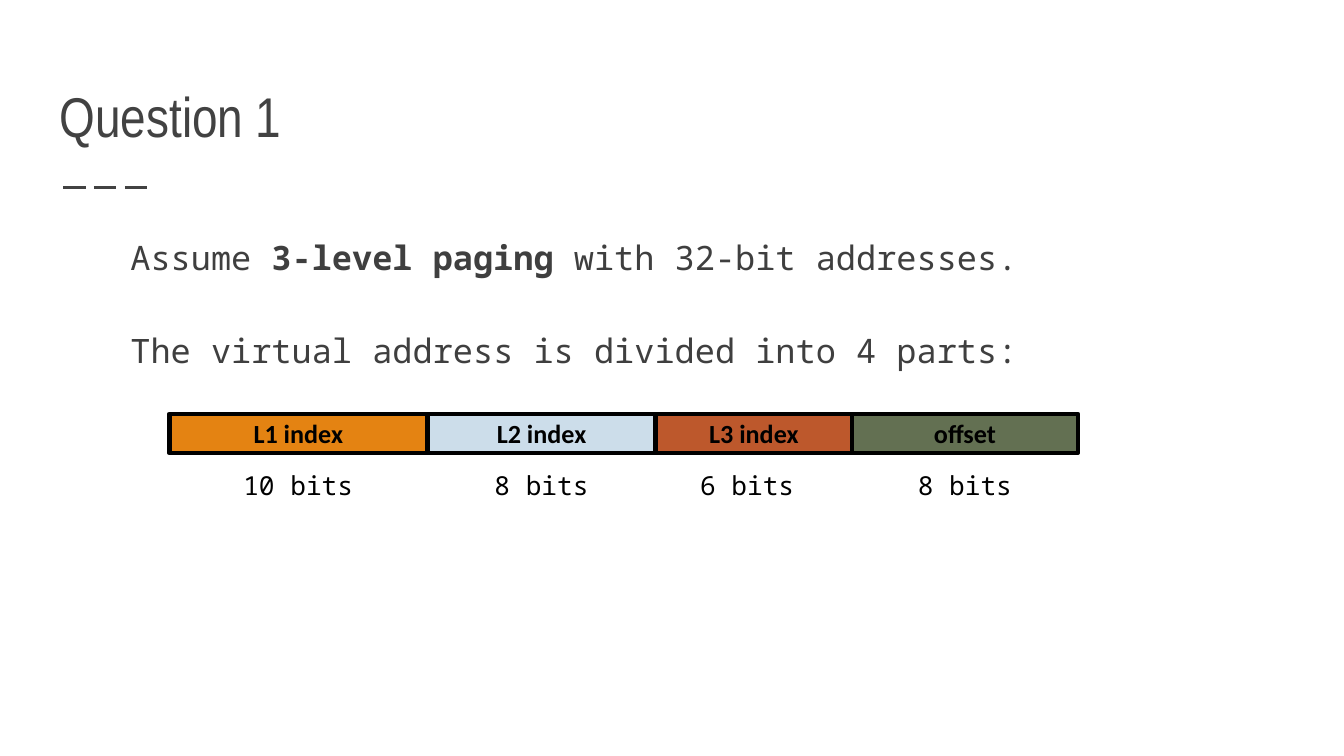
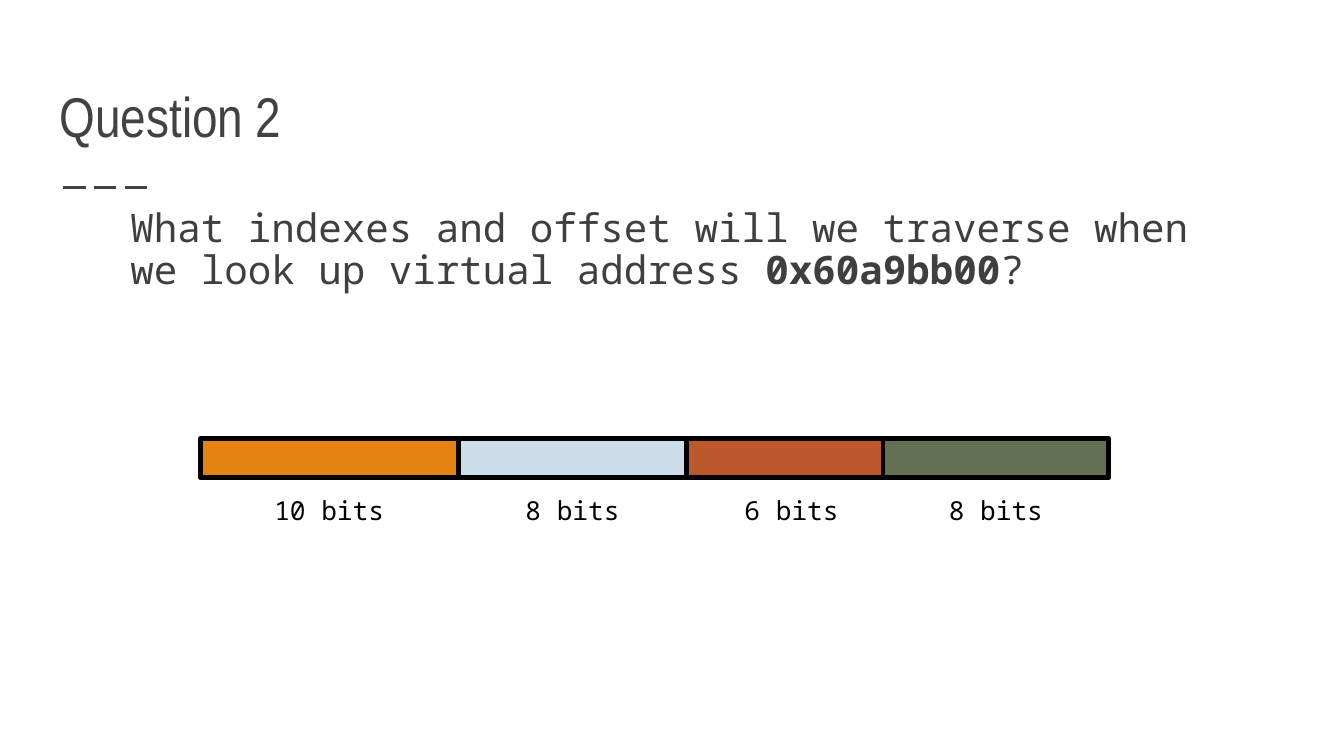
from itertools import accumulate

from lxml import etree
from pptx import Presentation
from pptx.dml.color import RGBColor
from pptx.enum.dml import MSO_LINE
from pptx.enum.shapes import MSO_CONNECTOR, MSO_SHAPE
from pptx.enum.text import MSO_ANCHOR, PP_ALIGN
from pptx.oxml.ns import qn
from pptx.util import Pt

PX = 4572  # 200 px to the inch
LONG_DASH = MSO_LINE.LONG_DASH
STRAIGHT = MSO_CONNECTOR.STRAIGHT
RECTANGLE = MSO_SHAPE.RECTANGLE
TOP, MIDDLE, BOTTOM = MSO_ANCHOR.TOP, MSO_ANCHOR.MIDDLE, MSO_ANCHOR.BOTTOM
CENTER = PP_ALIGN.CENTER

COLORS = {
    "title": "424242",
    "body": "3F3F3F",
    "ink": "000000",
    "L1": "E48312",
    "L2": "CCDDEA",
    "L3": "BD582C",
    "offset": "637052",
}
TITLE_FONT, BODY_FONT, LABEL_FONT = "Arial Narrow", "Noto Sans Mono", "Calibri"

# Address fields: colour key, width in px, size in bits
FIELDS = [("L1", 384, 10), ("L2", 340, 8), ("L3", 292, 6), ("offset", 336, 8)]
FIELD_HEIGHT = 58


def emu(*lengths):
    return [length * PX for length in lengths]


def color(key):
    return RGBColor.from_string(COLORS[key])


def style(paragraph, font, size, color_key, bold=False):
    paragraph.font.name = font
    paragraph.font.size = Pt(size)
    paragraph.font.bold = bold
    paragraph.font.color.rgb = color(color_key)


def set_frame(frame, anchor, inset_x, inset_y):
    frame.word_wrap = True
    frame.vertical_anchor = anchor
    frame.margin_left = frame.margin_right = inset_x * PX
    frame.margin_top = frame.margin_bottom = inset_y * PX


def add_text_box(slide, box, anchor, inset_x, inset_y):
    frame = slide.shapes.add_textbox(*emu(*box)).text_frame
    set_frame(frame, anchor, inset_x, inset_y)
    return frame


def add_heading(slide, box, title):
    heading = add_text_box(slide, box, BOTTOM, 20, 20).paragraphs[0]
    heading.text = title
    style(heading, TITLE_FONT, 30, "title")

    # Dashed rule below the title
    left, top, _, height = box
    rule_y = top + height + 37
    rule = slide.shapes.add_connector(
        STRAIGHT, *emu(left + 25, rule_y, left + 159, rule_y))
    rule.line.color.rgb = color("title")
    rule.line.width = Pt(1.5)
    rule.line.dash_style = LONG_DASH
    etree.SubElement(rule._element.spPr, qn("a:effectLst"))


def set_blank_bullet(paragraph, hanging):
    properties = paragraph._p.get_or_add_pPr()
    properties.set("marL", str(14 * PX))
    properties.set("indent", str(-hanging * PX))
    bullet_color = etree.SubElement(properties, qn("a:buClr"))
    etree.SubElement(bullet_color, qn("a:srgbClr"), val=COLORS["L1"])
    etree.SubElement(properties, qn("a:buFont"), typeface=LABEL_FONT)
    etree.SubElement(properties, qn("a:buChar"), char=" ")


def add_body(slide, box, statements, size, hanging, line_spacing, gap=0):
    """Each statement is a list of pieces; every second piece is bold."""
    frame = add_text_box(slide, box, TOP, 0, 8)
    for index, pieces in enumerate(statements):
        statement = frame.add_paragraph() if index else frame.paragraphs[0]
        set_blank_bullet(statement, hanging)
        statement.line_spacing = line_spacing
        statement.space_before = Pt(gap if index else 0)
        style(statement, BODY_FONT, size, "body")
        for position, piece in enumerate(pieces):
            run = statement.add_run()
            run.text = piece
            if position % 2:
                run.font.bold = True


def add_address_bar(slide, left, top, caption_box, l3_shift, labels=()):
    widths = [width for _, width, _ in FIELDS]
    edges = list(accumulate(widths, initial=left))

    # Coloured fields
    for index, (key, width, _) in enumerate(FIELDS):
        field = slide.shapes.add_shape(
            RECTANGLE, *emu(edges[index], top, width, FIELD_HEIGHT))
        field.shadow.inherit = False
        field.fill.solid()
        field.fill.fore_color.rgb = color(key)
        field.line.color.rgb = color("ink")
        field.line.width = Pt(2.5)
        if labels:
            set_frame(field.text_frame, MIDDLE, 14, 8)
            label = field.text_frame.paragraphs[0]
            label.text = labels[index]
            label.alignment = CENTER
            style(label, LABEL_FONT, 14, "ink", bold=True)

    # Bit counts, on centred tab stops below the fields
    captions = add_text_box(slide, caption_box, TOP, 14, 8).paragraphs[0]
    tabs = etree.SubElement(captions._p.get_or_add_pPr(), qn("a:tabLst"))
    for (key, width, _), edge in zip(FIELDS, edges):
        center = edge + width // 2 + (l3_shift if key == "L3" else 0)
        stop = center - caption_box[0] - 14
        etree.SubElement(tabs, qn("a:tab"), pos=str(stop * PX), algn="ctr")
    captions.add_run().text = "".join(f"\t{bits} bits" for *_, bits in FIELDS)
    style(captions, BODY_FONT, 14, "ink")


def add_question(deck, title):
    slide = deck.slides.add_slide(deck.slide_layouts[6])
    add_heading(slide, (69, 82, 1864, 160), title)
    return slide


def build_layout_question(deck):
    slide = add_question(deck, "Question 1")
    statements = [
        ["Assume ", "3-level paging", " with 32-bit addresses."],
        ["The virtual address is divided into 4 parts:"],
    ]
    add_body(slide, (180, 336, 1650, 728), statements, 18, 24, 1.15, gap=25)
    add_address_bar(slide, 252, 616, (302, 691, 1320, 60), -10,
                    ["L1 index", "L2 index", "L3 index", "offset"])


def build_lookup_question(deck):
    slide = add_question(deck, "Question 2")
    statements = [[
        "What indexes and offset will we traverse when we look up "
        "virtual address ", "0x60a9bb00", "?"]]
    add_body(slide, (180, 302, 1650, 292), statements, 21, 30, 0.9)
    add_address_bar(slide, 298, 653, (300, 728, 1350, 60), 10)


def main():
    deck = Presentation()
    deck.slide_width, deck.slide_height = emu(2000, 1125)
    build_layout_question(deck)
    build_lookup_question(deck)
    deck.save("out.pptx")


if __name__ == "__main__":
    main()
